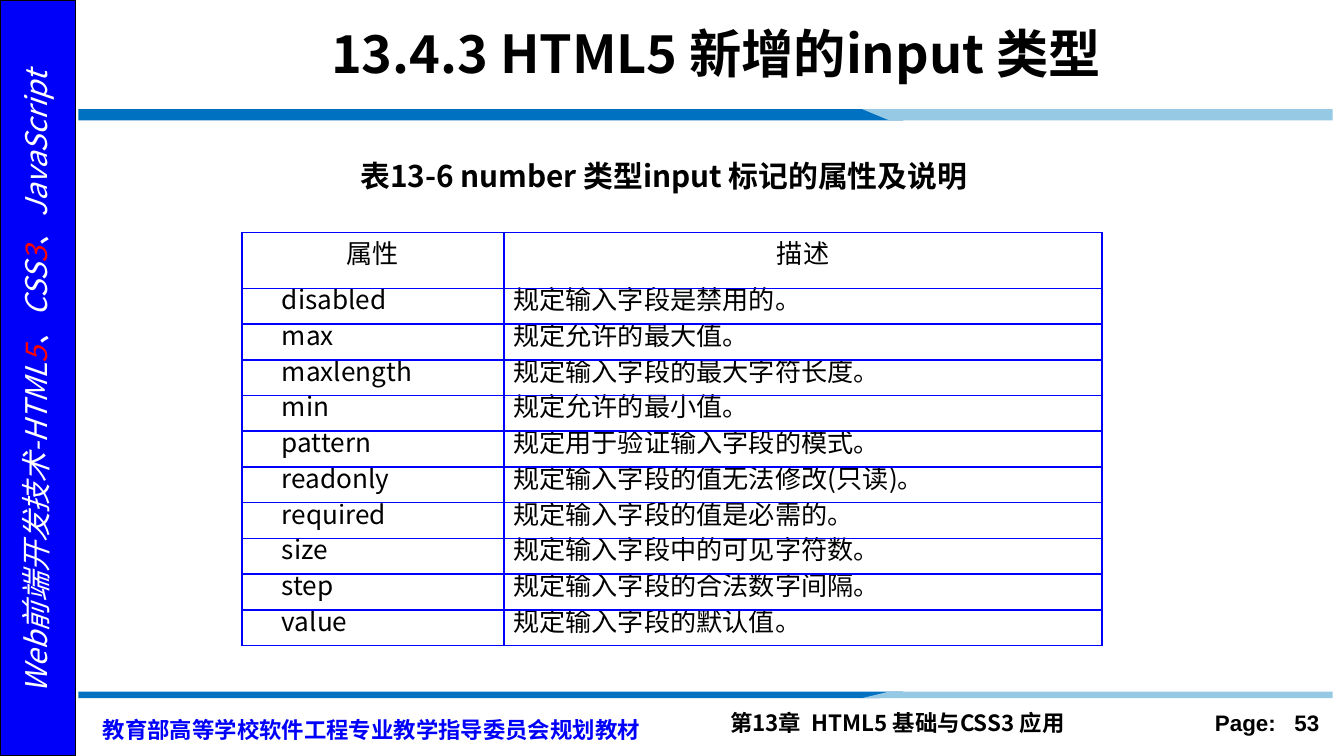
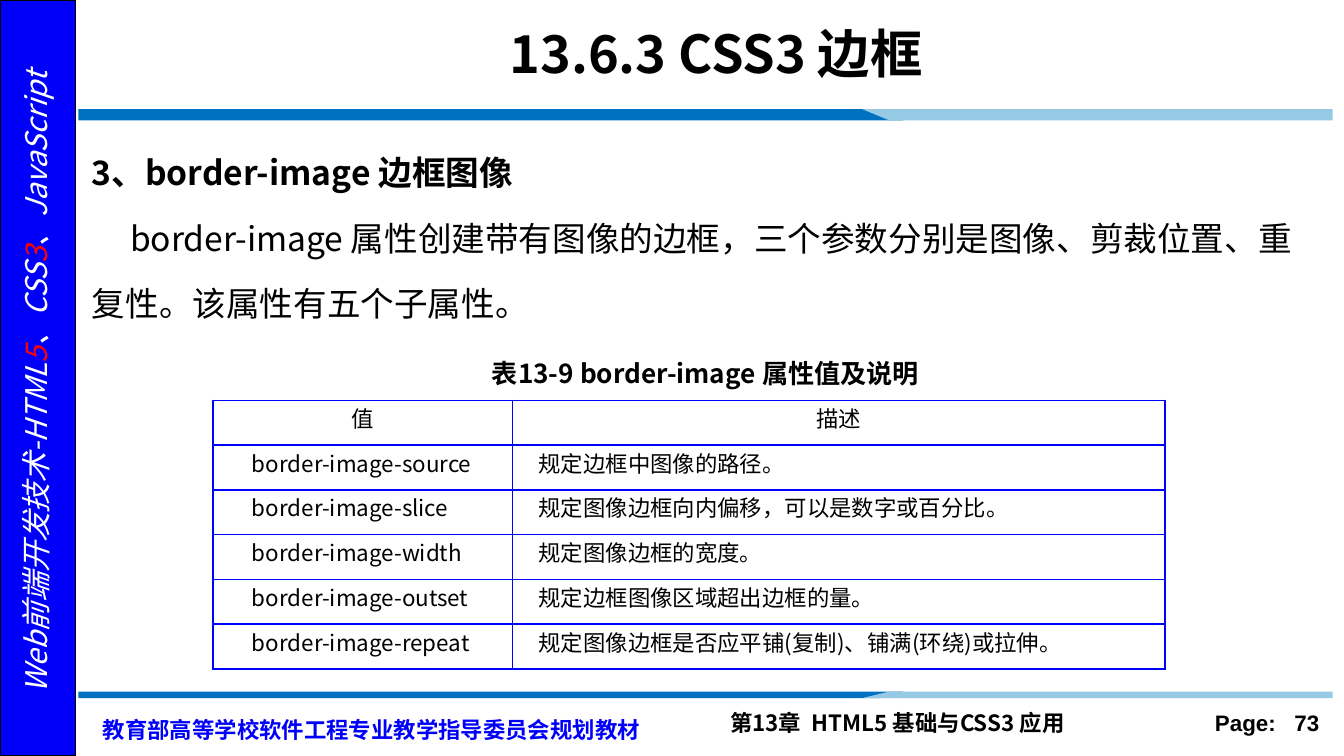
import pptx
import pptx.util
import pptx.dml.color
import pptx.enum.shapes
import pptx.enum.text
import pptx.oxml.ns
import lxml.etree

Pt = pptx.util.Pt
RGB = pptx.dml.color.RGBColor
ALIGN = pptx.enum.text.PP_ALIGN
ANCHOR = pptx.enum.text.MSO_ANCHOR
qn = pptx.oxml.ns.qn

# Shared colours and fonts
BLACK = RGB(0, 0, 0)
WHITE = RGB(255, 255, 255)
RED = RGB(255, 0, 0)
NAVY = RGB(0, 0, 250)
BLUE = RGB(0, 112, 192)
SKY = RGB(150, 202, 228)
GRID = RGB(0, 0, 255)
SANS = "Noto Sans CJK SC"

# Shared wording
BOOK = "教育部高等学校软件工程专业教学指导委员会规划教材"
CHAPTER = "第13章  HTML5 基础与CSS3 应用"
SIDE = [("Web前端开发技术-HTML", WHITE), ("5", RED), ("、CSS", WHITE),
        ("3", RED), ("、JavaScript", WHITE)]

# Slide content
NUMBER = {
    "page": 53,
    "title": "13.4.3 HTML5 新增的input 类型",
    "caption": "表13-6 number 类型input 标记的属性及说明",
    "table": {
        "left": 129.5, "top": 124.5, "cols": (140.5, 320.5),
        "head": 30, "row": 19.15, "size": 14, "indent": (16.5, 0),
        "data": [
            ("属性", "描述"),
            ("disabled", "规定输入字段是禁用的。"),
            ("max", "规定允许的最大值。"),
            ("maxlength", "规定输入字段的最大字符长度。"),
            ("min", "规定允许的最小值。"),
            ("pattern", "规定用于验证输入字段的模式。"),
            ("readonly", "规定输入字段的值无法修改(只读)。"),
            ("required", "规定输入字段的值是必需的。"),
            ("size", "规定输入字段中的可见字符数。"),
            ("step", "规定输入字段的合法数字间隔。"),
            ("value", "规定输入字段的默认值。"),
        ],
    },
}
BORDER = {
    "page": 73,
    "title": "13.6.3 CSS3 边框",
    # text, size, bold, first-line indent, alignment
    "body": [
        ("3、border-image 边框图像", 18, True, 0, ALIGN.LEFT),
        ("border-image 属性创建带有图像的边框，三个参数分别是图像、剪裁位置、"
         "重复性。该属性有五个子属性。", 18, False, 20.5, ALIGN.LEFT),
        ("表13-9 border-image 属性值及说明", 14, True, 0, ALIGN.CENTER),
    ],
    "table": {
        "left": 114, "top": 214.5, "cols": (160.5, 349.5),
        "head": 24, "row": 24, "size": 12, "indent": (16, 9),
        "data": [
            ("值", "描述"),
            ("border-image-source", "规定边框中图像的路径。"),
            ("border-image-slice", "规定图像边框向内偏移，可以是数字或百分比。"),
            ("border-image-width", "规定图像边框的宽度。"),
            ("border-image-outset", "规定边框图像区域超出边框的量。"),
            ("border-image-repeat", "规定图像边框是否应平铺(复制)、铺满(环绕)或拉伸。"),
        ],
    },
}


# Text helpers
def assign(item, values):
    for name, value in values.items():
        setattr(item, name, value)


def write(para, text, size, color=BLACK, face=SANS, **style):
    run = para.add_run()
    run.text = text
    assign(run.font, {"size": Pt(size), "name": face, **style})
    run.font.color.rgb = color
    east = lxml.etree.SubElement(run._r.get_or_add_rPr(), qn("a:ea"))
    east.set("typeface", face)


def indent(para, first):
    props = para._p.get_or_add_pPr()
    props.set("marL", "0")
    props.set("indent", str(Pt(first)))
    return props


def place(shape, left, top, width, height):
    assign(shape, {"left": Pt(left), "top": Pt(top),
                   "width": Pt(width), "height": Pt(height)})


def frame(shape, **values):
    assign(shape.text_frame, {
        "word_wrap": True, "auto_size": pptx.enum.text.MSO_AUTO_SIZE.NONE,
        "margin_left": Pt(7.2), "margin_right": Pt(7.2),
        "margin_top": Pt(3.6), "margin_bottom": Pt(3.6), **values})
    return shape.text_frame


def label(slide, box, **layout):
    shape = slide.shapes.add_textbox(*map(Pt, box))
    para = frame(shape).paragraphs[0]
    assign(para, layout)
    return shape, para


# Shared slide parts
def paint(shape, color):
    shape.shadow.inherit = False
    shape.fill.solid()
    shape.fill.fore_color.rgb = color
    shape.line.fill.background()


def band(slide, near, far):
    # Two slanted strips; the light one overlaps the end of the dark one
    for color, start, slant, end, tail in (
            (BLUE, 42, 42, 471, 484), (SKY, 462, 476.5, 714, 714)):
        points = [(start, near), (end, near), (tail, far), (slant, far)]
        points = [(Pt(x), Pt(y)) for x, y in points]
        path = slide.shapes.build_freeform(*points[0])
        path.add_line_segments(points[1:], close=True)
        paint(path.convert_to_shape(), color)


def dress(slide, page):
    bar = slide.shapes.add_shape(
        pptx.enum.shapes.MSO_SHAPE.RECTANGLE, 0, 0, Pt(40.5), Pt(405))
    paint(bar, NAVY)
    bar.line.color.rgb = BLACK
    bar.line.width = Pt(1)
    side, para = label(slide, (-166.5, 192.5, 374, 24.5),
                       alignment=ALIGN.CENTER, line_spacing=0.9,
                       space_before=Pt(3.2))
    frame(side, margin_left=0, margin_right=0)
    side.rotation = 270
    for text, color in SIDE:
        write(para, text, 16, color, italic=True)
    band(slide, 58.5, 64.5)
    band(slide, 374, 370.5)
    para = label(slide, (48, 376.5, 312, 25), line_spacing=Pt(18))[1]
    write(para, BOOK, 12, NAVY, bold=True)
    para = label(slide, (384, 376.5, 237, 22))[1]
    write(para, CHAPTER, 12, bold=True)
    para = label(slide, (624, 376.5, 90, 22), alignment=ALIGN.RIGHT)[1]
    write(para, f"Page:   {page}", 12, face="Arial", bold=True)


def head(slide, text):
    title = slide.shapes.title
    place(title, 78, 6, 611, 44.5)
    para = frame(title, vertical_anchor=ANCHOR.MIDDLE).paragraphs[0]
    para.alignment = ALIGN.CENTER
    write(para, text, 28, bold=True)


def fill_body(slide, lines):
    body = slide.placeholders[1]
    place(body, 42, 64.5, 672, 150)
    text = frame(body, vertical_anchor=ANCHOR.TOP)
    for i, (words, size, bold, first, align) in enumerate(lines):
        para = text.add_paragraph() if i else text.paragraphs[0]
        assign(para, {"alignment": align, "line_spacing": Pt(35),
                      "space_before": Pt(0)})
        lxml.etree.SubElement(indent(para, first), qn("a:buNone"))
        write(para, words, size, bold=bold)


# Tables
def outline(cell):
    props = cell._tc.get_or_add_tcPr()
    for i, side in enumerate(("lnL", "lnR", "lnT", "lnB")):
        line = lxml.etree.Element(qn("a:" + side), w=str(Pt(1)))
        solid = lxml.etree.SubElement(line, qn("a:solidFill"))
        lxml.etree.SubElement(solid, qn("a:srgbClr"), val=str(GRID))
        props.insert(i, line)


def add_grid(slide, plan):
    data, cols, size = plan["data"], plan["cols"], plan["size"]
    highs = [plan["head"]] + [plan["row"]] * (len(data) - 1)
    table = slide.shapes.add_table(
        len(data), len(cols), Pt(plan["left"]), Pt(plan["top"]),
        Pt(sum(cols)), Pt(sum(highs))).table
    assign(table, {"first_row": False, "horz_banding": False})
    for col, width in zip(table.columns, cols):
        col.width = Pt(width)
    for r, (row, high) in enumerate(zip(table.rows, highs)):
        row.height = Pt(high)
        for c, cell in enumerate(row.cells):
            assign(cell, {"margin_left": Pt(5), "margin_right": Pt(5),
                          "margin_top": 0, "margin_bottom": 0,
                          "vertical_anchor": ANCHOR.MIDDLE})
            outline(cell)
            cell.fill.background()
            para = cell.text_frame.paragraphs[0]
            assign(para, {"alignment": ALIGN.JUSTIFY if r else ALIGN.CENTER,
                          "line_spacing": Pt(12),
                          "space_before": Pt(size * 0.2)})
            indent(para, plan["indent"][c] if r else 0)
            write(para, data[r][c], size, bold=False)


# Build the deck
deck = pptx.Presentation()
assign(deck, {"slide_width": Pt(720), "slide_height": Pt(405)})
for part in (NUMBER, BORDER):
    slide = deck.slides.add_slide(deck.slide_layouts[1 if "body" in part else 5])
    dress(slide, part["page"])
    head(slide, part["title"])
    if "body" in part:
        fill_body(slide, part["body"])
    add_grid(slide, part["table"])
    if "caption" in part:
        para = label(slide, (186, 83, 348, 24.5), line_spacing=0.9,
                     space_before=Pt(3.2))[1]
        write(para, part["caption"], 16, bold=True)
deck.save("out.pptx")
